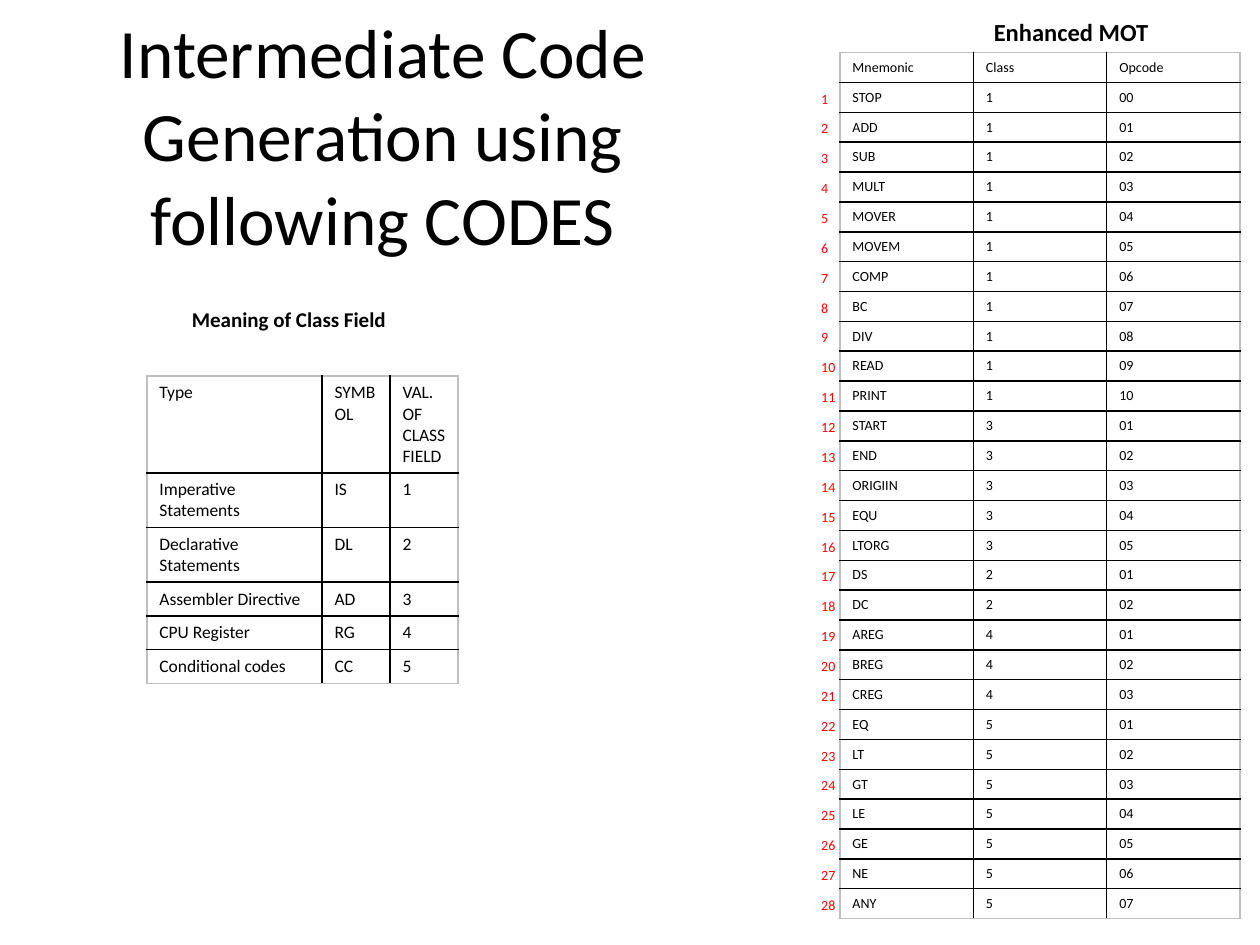
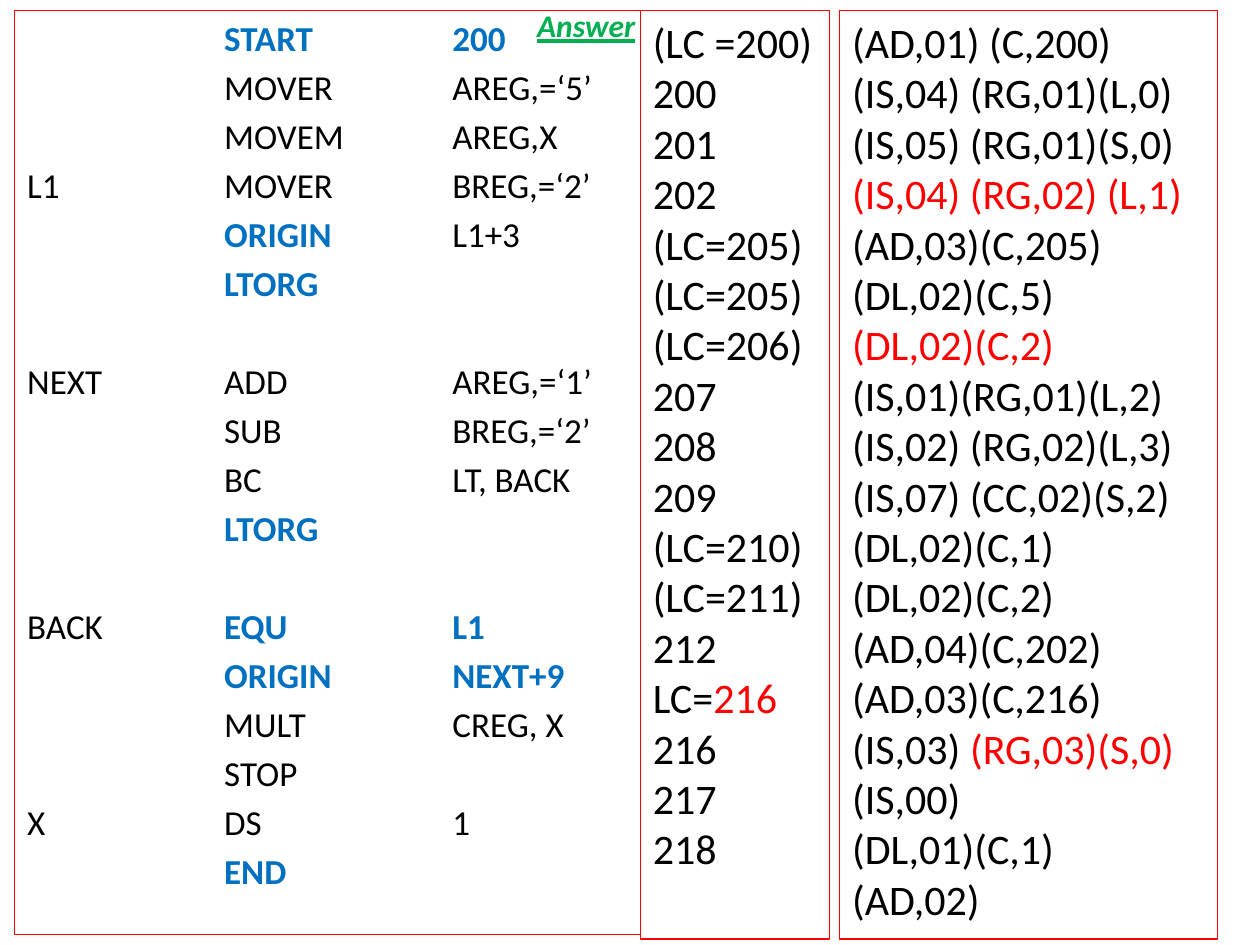
from lxml import etree
from pptx import Presentation
from pptx.dml.color import RGBColor
from pptx.enum.shapes import MSO_SHAPE
from pptx.enum.text import MSO_ANCHOR, PP_ALIGN
from pptx.oxml.ns import qn
from pptx.util import Cm, Pt

BLACK = RGBColor(0x00, 0x00, 0x00)
RED = RGBColor(0xFF, 0x00, 0x00)
BLUE = RGBColor(0x00, 0x70, 0xC0)
GREEN = RGBColor(0x00, 0xB0, 0x50)
GREY = RGBColor(0xBF, 0xBF, 0xBF)
FONT = "Calibri"
RECT = MSO_SHAPE.RECTANGLE
TOP, MIDDLE = MSO_ANCHOR.TOP, MSO_ANCHOR.MIDDLE
LEFT, CENTER = PP_ALIGN.LEFT, PP_ALIGN.CENTER


def add_text(slide, box, lines, fmt, accent=None, framed=False,
             anchor=TOP, align=LEFT, wrap=True):
    """Add a text box or red-framed box; "|" splits runs, "*" marks an accent run."""
    x, y, w, h = [Cm(v) for v in box]
    if framed:
        sp = slide.shapes.add_shape(RECT, x, y, w, h)
        sp.shadow.inherit = False
        sp.fill.background()
        sp.line.color.rgb = RED
        sp.line.width = Pt(0.75)
    else:
        sp = slide.shapes.add_textbox(x, y, w, h)
    tf = sp.text_frame
    tf.word_wrap = wrap
    tf.vertical_anchor = anchor
    for i, line in enumerate(lines):
        p = tf.paragraphs[0] if i == 0 else tf.add_paragraph()
        p.alignment = align
        for part in line.split("|"):
            r = p.add_run()
            r.text = part.lstrip("*")
            look = {"name": FONT, "color": BLACK, **fmt}
            if part.startswith("*"):
                look.update(accent)
            r.font.color.rgb = look.pop("color")
            for key, value in look.items():
                setattr(r.font, key, value)
    return tf


def add_grid(slide, x, y, widths, row_height, rows, size, color=BLACK, ruled=True):
    """Add a plain table, ruled black inside and grey around, or without rules."""
    n_rows, n_cols = len(rows), len(widths)
    table = slide.shapes.add_table(n_rows, n_cols, Cm(x), Cm(y), Cm(sum(widths)),
                                   Cm(row_height * n_rows)).table
    table.first_row = table.horz_banding = False
    for col, width in zip(table.columns, widths):
        col.width = Cm(width)
    for i, values in enumerate(rows):
        table.rows[i].height = Cm(row_height)
        for j, value in enumerate(values):
            cell = table.cell(i, j)
            r = cell.text_frame.paragraphs[0].add_run()
            r.text = value
            r.font.name, r.font.size, r.font.color.rgb = FONT, size, color
            tcPr = cell._tc.get_or_add_tcPr()
            outer = {"lnL": j == 0, "lnR": j == n_cols - 1,
                     "lnT": i == 0, "lnB": i == n_rows - 1}
            for side, on_edge in outer.items():
                ln = etree.SubElement(tcPr, qn("a:" + side), w=str(Pt(1)))
                if ruled:
                    fill = etree.SubElement(ln, qn("a:solidFill"))
                    etree.SubElement(fill, qn("a:srgbClr"),
                                     val=str(GREY if on_edge else BLACK))
                else:
                    etree.SubElement(ln, qn("a:noFill"))
            cell.fill.background()


prs = Presentation()
prs.slide_width, prs.slide_height = Cm(25.4), Cm(19.05)
blank = prs.slide_layouts[6]

# Slide 1: code tables
s = prs.slides.add_slide(blank)
add_text(s, (1.27, 0.76, 12.9, 3.89),
         ["Intermediate Code Generation using following CODES"],
         {"size": Pt(39.6)}, anchor=MIDDLE, align=CENTER)

class_rows = [
    ("Type", "SYMBOL", "VAL. OF CLASS FIELD"),
    ("Imperative Statements", "IS", "1"),
    ("Declarative Statements", "DL", "2"),
    ("Assembler Directive", "AD", "3"),
    ("CPU Register", "RG", "4"),
    ("Conditional codes", "CC", "5"),
]
add_grid(s, 2.96, 7.58, (3.53, 1.37, 1.37), 0.61, class_rows, Pt(10))

for heading, box, size in [
    ("Meaning of Class Field", (3.18, 5.93, 5.29, 1.02), 12),
    ("Enhanced MOT", (18.63, 0.21, 5.93, 0.85), 14),
]:
    add_text(s, box, [heading], {"size": Pt(size), "bold": True},
             anchor=MIDDLE, align=CENTER)

# Mnemonics by class; opcodes count up from the given start
mnemonics = [
    ("1", 0, "STOP ADD SUB MULT MOVER MOVEM COMP BC DIV READ PRINT"),
    ("3", 1, "START END ORIGIIN EQU LTORG"),
    ("2", 1, "DS DC"),
    ("4", 1, "AREG BREG CREG"),
    ("5", 1, "EQ LT GT LE GE NE ANY"),
]
mot_rows = [("Mnemonic", "Class", "Opcode")]
for class_code, start, names in mnemonics:
    for opcode, name in enumerate(names.split(), start):
        mot_rows.append((name, class_code, f"{opcode:02d}"))
MOT_ROW = 17.46 / len(mot_rows)
add_grid(s, 16.93, 1.06, (2.69,) * 3, MOT_ROW, mot_rows, Pt(8))
row_numbers = [(str(n),) for n in range(1, len(mot_rows))]
add_grid(s, 16.3, 1.7, (0.85,), MOT_ROW, row_numbers, Pt(8), RED, ruled=False)

# Slide 2: program, location counter and intermediate code
s = prs.slides.add_slide(blank)
program = [
    "\t|*START\t200",
    "\tMOVER\tAREG,=‘5’",
    "\tMOVEM\tAREG,X",
    "L1\tMOVER\tBREG,=‘2’",
    "\t|*ORIGIN|\tL1+3",
    "\t|*LTORG",
    "NEXT\tADD\tAREG,=‘1’",
    "\tSUB\tBREG,=‘2’",
    "\tBC\tLT, BACK",
    "\t|*LTORG",
    "BACK\t|*EQU\tL1",
    "\t|*ORIGIN\tNEXT+9",
    "\tMULT\tCREG, X",
    "\tSTOP",
    "X\tDS\t1",
    "\t|*END",
]
tf = add_text(s, (0.3, 0.21, 12.62, 18.63), program, {"size": Pt(20)},
              {"color": BLUE, "bold": True}, framed=True)
for i, (p, line) in enumerate(zip(tf.paragraphs, program)):
    new_block = line.startswith(("NEXT", "BACK"))
    p.space_before = Pt(0 if i == 0 else 32 if new_block else 4)
    tabs = etree.SubElement(p._p.get_or_add_pPr(), qn("a:tabLst"))
    for stop in (3.97, 8.57):
        etree.SubElement(tabs, qn("a:tab"), pos=str(Cm(stop)), algn="l")

counter = [
    "(LC =200)", "200", "201", "202", "(LC=205)", "(LC=205)", "(LC=206)",
    "207", "208", "209", "(LC=210)", "(LC=211)", "212", "LC=|*216",
    "216", "217", "218",
]
codes = [
    "(AD,01) (C,200)",
    "(IS,04) (RG,01)(L,0)",
    "(IS,05) (RG,01)(S,0)",
    "*(IS,04) (RG,02) (L,1)",
    "(AD,03)(C,205)",
    "(DL,02)(C,5)",
    "*(DL,02)(C,2)",
    "(IS,01)(RG,01)(L,2)",
    "(IS,02) (RG,02)(L,3)",
    "(IS,07) (CC,02)(S,2)",
    "(DL,02)(C,1)",
    "(DL,02)(C,2)",
    "(AD,04)(C,202)",
    "(AD,03)(C,216)",
    "(IS,03) |*(RG,03)(S,0)",
    "(IS,00)",
    "(DL,01)(C,1)",
    "(AD,02)",
]
for x, width, lines in [(12.91, 3.81, counter), (16.93, 7.62, codes)]:
    add_text(s, (x, 0.21, width, 18.72), lines, {"size": Pt(24)},
             {"color": RED}, framed=True)

add_text(s, (10.58, 0, 2.51, 1.03), ["Answer"],
         {"size": Pt(18), "color": GREEN, "bold": True, "italic": True,
          "underline": True}, wrap=False)

prs.save("out.pptx")
